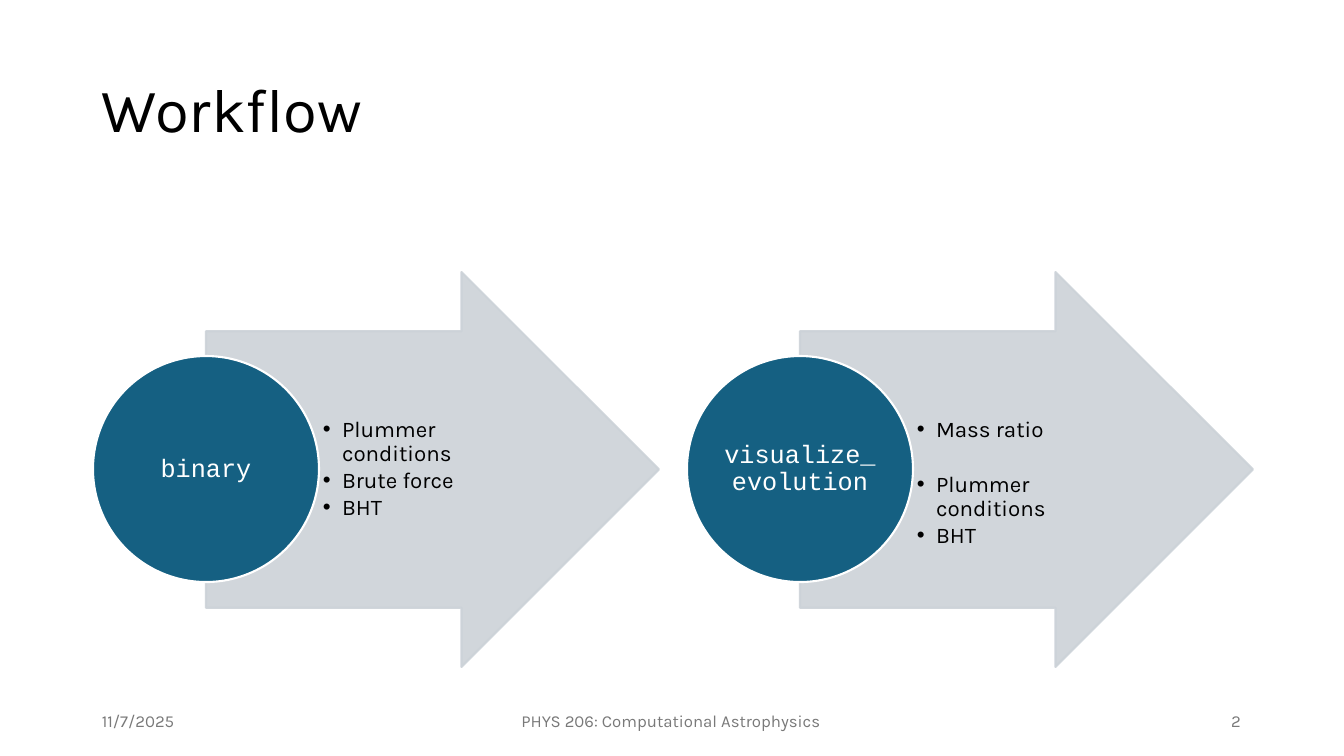
from lxml import etree
from pptx import Presentation
from pptx.dml.color import RGBColor
from pptx.enum.shapes import MSO_SHAPE
from pptx.enum.text import MSO_ANCHOR, MSO_AUTO_SIZE, PP_ALIGN
from pptx.oxml.ns import qn
from pptx.util import Pt

SLIDE_WIDTH, SLIDE_HEIGHT = 1344, 756
EMU_PER_PX = 12192000 / SLIDE_WIDTH
TITLE_ONLY = 5

BLACK = RGBColor(0x00, 0x00, 0x00)
WHITE = RGBColor(0xFF, 0xFF, 0xFF)
ARROW_GRAY = RGBColor(0xCC, 0xD2, 0xD8)
CIRCLE_BLUE = RGBColor(0x15, 0x60, 0x82)
FOOTER_GRAY = RGBColor(0x79, 0x79, 0x79)

LEFT, CENTER, RIGHT = PP_ALIGN.LEFT, PP_ALIGN.CENTER, PP_ALIGN.RIGHT
MIDDLE = MSO_ANCHOR.MIDDLE
NO_AUTOFIT = MSO_AUTO_SIZE.NONE
RIGHT_ARROW, OVAL = MSO_SHAPE.RIGHT_ARROW, MSO_SHAPE.OVAL

MARGIN = 92
CONTENT_WIDTH = 1159
STAGE_TOP, STAGE_WIDTH, STAGE_HEIGHT = 272, 566, 395
STAGE_STEP = 594
BULLET_INDENT = 19
BLANK_LINE = 28
STAGES = [
    ("binary", ["Plummer conditions", "Brute force", "BHT"], None),
    ("visualize_evolution", ["Mass ratio", "Plummer conditions", "BHT"], 1),
]


def px(length):
    """Turn a length in pixels into EMU."""
    return round(length * EMU_PER_PX)


def px_box(left, top, width, height):
    """Turn a box in pixels into EMU."""
    return [px(length) for length in (left, top, width, height)]


def write_text(shape, *lines, size, color, font="Karla", align=LEFT,
               line_spacing=1.0, space_after=0, insets=(10, 5, 10, 5)):
    """Fill a shape with one formatted paragraph per line."""
    frame = shape.text_frame
    frame.word_wrap = True
    frame.auto_size = NO_AUTOFIT
    frame.vertical_anchor = MIDDLE
    (frame.margin_left, frame.margin_top,
     frame.margin_right, frame.margin_bottom) = [px(inset) for inset in insets]
    frame.text = "\n".join(lines)
    for paragraph in frame.paragraphs:
        paragraph.alignment = align
        paragraph.line_spacing = line_spacing
        paragraph.space_after = Pt(space_after)
        run_font = paragraph.runs[0].font
        run_font.name = font
        run_font.size = Pt(size)
        run_font.color.rgb = color
    return frame.paragraphs


def add_bullet(paragraph):
    """Give a paragraph a hanging bullet."""
    properties = paragraph._p.get_or_add_pPr()
    properties.set("marL", str(px(BULLET_INDENT)))
    properties.set("indent", str(-px(BULLET_INDENT)))
    etree.SubElement(properties, qn("a:buFont")).set("typeface", "Arial")
    etree.SubElement(properties, qn("a:buChar")).set("char", "•")


def add_figure(slide, kind, box, fill, line, opacity=100):
    """Add a preset shape with a fill and an outline."""
    shape = slide.shapes.add_shape(kind, *px_box(*box))
    shape.shadow.inherit = False
    shape.fill.solid()
    shape.fill.fore_color.rgb = fill
    shape.line.color.rgb = line
    shape.line.width = Pt(1.5)
    if opacity < 100:
        for color in shape._element.spPr.iter(qn("a:srgbClr")):
            etree.SubElement(color, qn("a:alpha")).set("val", str(opacity * 1000))
    return shape


def add_title(slide, box, text):
    """Place the slide title in its placeholder."""
    title = slide.shapes.title
    title.left, title.top, title.width, title.height = px_box(*box)
    write_text(title, text, size=44, color=BLACK, line_spacing=0.9)


def add_stage(slide, box, name, steps, gap_before):
    """Draw an arrow with a named circle at its tail and a list of steps."""
    left, top, width, height = box
    diameter = round(width * 0.4)
    radius = diameter // 2
    arrow = add_figure(slide, RIGHT_ARROW, (left + radius, top, width - radius, height),
                       ARROW_GRAY, ARROW_GRAY, opacity=90)
    arrow.adjustments[0] = 0.7
    arrow.adjustments[1] = 0.5

    list_height = round(height * 0.7)
    list_top = top + (height - list_height) // 2
    list_box = slide.shapes.add_textbox(
        *px_box(left + diameter, list_top, 221, list_height))
    top_inset = 1 if gap_before is None else 1 + BLANK_LINE
    paragraphs = write_text(list_box, *steps, size=16, color=BLACK, line_spacing=0.9,
                            space_after=2, insets=(4, top_inset, 2, 1))
    for index, paragraph in enumerate(paragraphs):
        if index == gap_before:
            paragraph.space_before = px(BLANK_LINE)
        add_bullet(paragraph)

    circle = add_figure(slide, OVAL, (left, top + height // 2 - radius, diameter, diameter),
                        CIRCLE_BLUE, WHITE)
    write_text(circle, name, size=18, color=WHITE, font="Courier New", align=CENTER,
               line_spacing=0.9, insets=(1, 1, 1, 1))


def add_footer(slide, box):
    """Place the date, course name and slide number along the bottom."""
    left, top, width, height = box
    side, middle = 302, 454
    parts = [
        ("11/7/2025", left, side, LEFT),
        ("PHYS 206: Computational Astrophysics", left + (width - middle) // 2, middle, CENTER),
        ("2", left + width - side, side, RIGHT),
    ]
    for text, part_left, part_width, align in parts:
        part = slide.shapes.add_textbox(*px_box(part_left, top, part_width, height))
        write_text(part, text, size=12, color=FOOTER_GRAY, align=align)


def main():
    """Build and save the workflow slide."""
    presentation = Presentation()
    presentation.slide_width = px(SLIDE_WIDTH)
    presentation.slide_height = px(SLIDE_HEIGHT)
    slide = presentation.slides.add_slide(presentation.slide_layouts[TITLE_ONLY])
    add_title(slide, (MARGIN, 40, CONTENT_WIDTH, 146), "Workflow")
    for index, (name, steps, gap_before) in enumerate(STAGES):
        box = (MARGIN + 1 + index * STAGE_STEP, STAGE_TOP, STAGE_WIDTH, STAGE_HEIGHT)
        add_stage(slide, box, name, steps, gap_before)
    add_footer(slide, (MARGIN, 701, CONTENT_WIDTH, 40))
    presentation.save("out.pptx")


if __name__ == "__main__":
    main()
